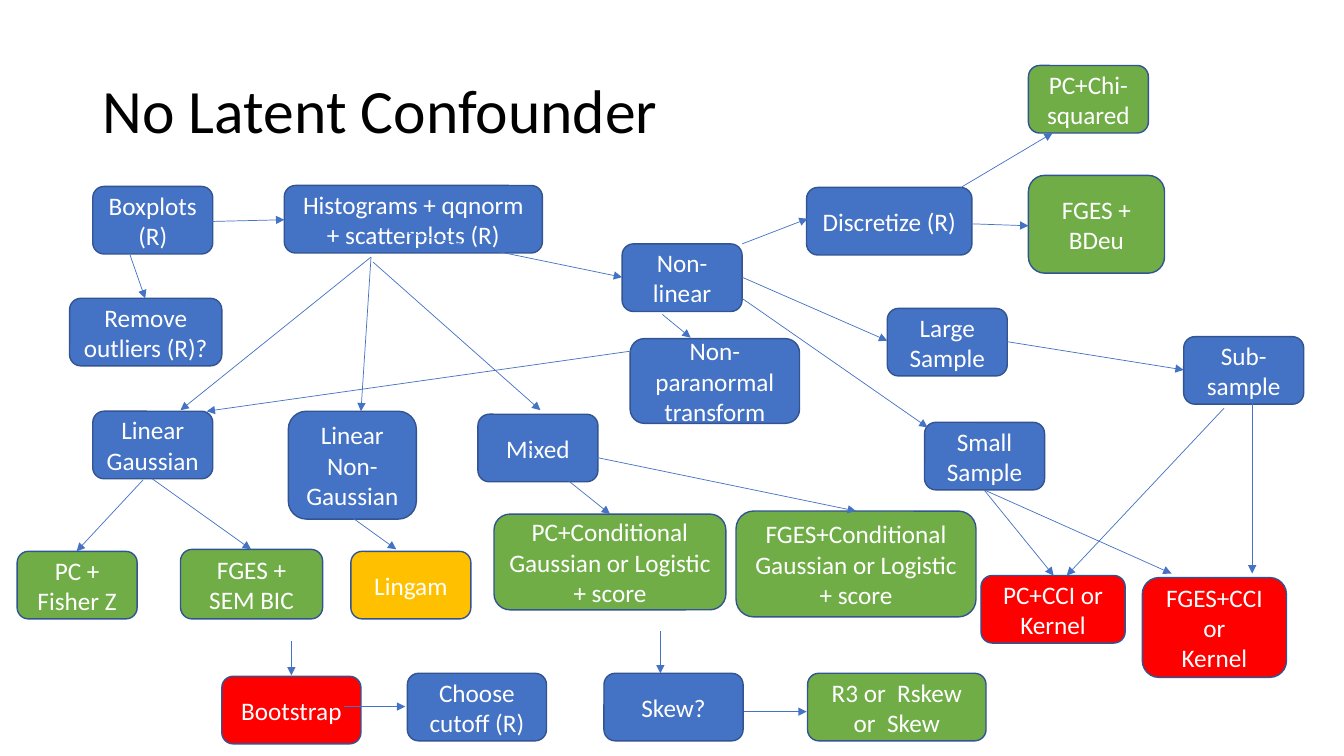
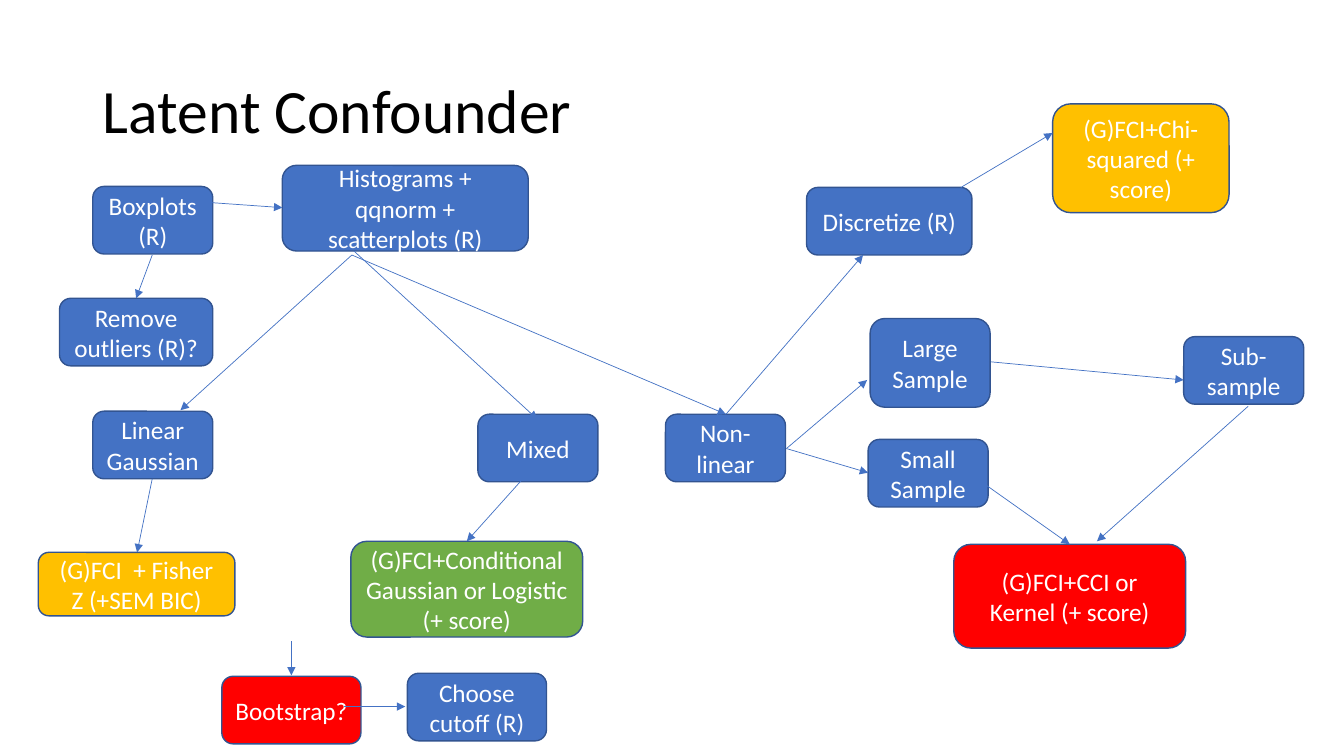
from lxml import etree
from pptx import Presentation
from pptx.dml.color import RGBColor
from pptx.enum.shapes import MSO_CONNECTOR, MSO_SHAPE
from pptx.enum.text import MSO_ANCHOR, PP_ALIGN
from pptx.oxml.ns import qn
from pptx.util import Inches, Pt

BLUE = RGBColor(0x44, 0x72, 0xC4)
OUTLINE = RGBColor(0x32, 0x54, 0x91)
GREEN = RGBColor(0x70, 0xAD, 0x47)
AMBER = RGBColor(0xFF, 0xC0, 0x00)
RED = RGBColor(0xFF, 0x00, 0x00)
WHITE = RGBColor(0xFF, 0xFF, 0xFF)
BLACK = RGBColor(0x00, 0x00, 0x00)

BOX_WIDTH, BOX_HEIGHT = 1.19, 0.67
TITLE_FRAME = {"left": 0.92, "top": 0.4, "width": 11.5, "height": 1.45}
TITLE_FONT = {"name": "Calibri", "size": Pt(44), "bold": False}
BOX_FONT = {"name": "Calibri", "size": Pt(18)}
TITLE_PARAGRAPH = {"alignment": PP_ALIGN.LEFT, "line_spacing": 0.9}
BOX_PARAGRAPH = {"alignment": PP_ALIGN.CENTER}


def format_text(text_frame, paragraph_format, font_format, color):
    """Centre the text vertically and format every paragraph."""
    text_frame.vertical_anchor = MSO_ANCHOR.MIDDLE
    for paragraph in text_frame.paragraphs:
        for name, value in paragraph_format.items():
            setattr(paragraph, name, value)
        for name, value in font_format.items():
            setattr(paragraph.font, name, value)
        paragraph.font.color.rgb = color


# Boxes: text, fill, left, top, then width and height where not standard
shared_boxes = [
    ("Boxplots (R)", BLUE, 0.92, 1.85),
    ("Linear Gaussian", BLUE, 0.92, 4.08),
    ("Mixed", BLUE, 4.74, 4.11),
    ("Discretize (R)", BLUE, 8, 1.86, 1.64),
    ("Sub-sample", BLUE, 11.74, 3.34),
    ("Choose cutoff (R)", BLUE, 4.04, 6.68, 1.38),
]
# Arrows: start x, start y, end x, end y
shared_arrows = [
    (9.53, 1.86, 10.44, 1.32),  # discretize to chi-squared
    (2.89, 6.36, 2.89, 6.7),    # down to bootstrap
    (3.41, 7.01, 4.02, 7.01),   # bootstrap to cutoff
]

no_latent_boxes = [
    ("Remove outliers (R)?", BLUE, 0.69, 2.96, 1.51),
    ("Histograms + qqnorm + scatterplots (R)", BLUE, 2.82, 1.84, 2.56),
    ("PC + Fisher Z", GREEN, 0.17, 5.47),
    ("FGES + SEM BIC", GREEN, 1.79, 5.45, 1.41, 0.69),
    ("Bootstrap", RED, 2.2, 6.71, 1.38),
    ("Linear Non-Gaussian", BLUE, 2.86, 4.08, 1.27, 1.07),
    ("Non-linear", BLUE, 6.17, 2.42),
    ("Lingam", AMBER, 3.48, 5.47),
    ("PC+Chi-squared", GREEN, 10.2, 0.65),
    ("FGES + BDeu", GREEN, 10.2, 1.74, 1.35, 0.97),
    ("Large Sample", BLUE, 8.8, 3.06),
    ("Small Sample", BLUE, 9.17, 4.19),
    ("PC+CCI or\nKernel", RED, 9.73, 5.71, 1.43),
    ("FGES+CCI or\nKernel", RED, 11.33, 5.73, 1.43, 0.99),
    ("PC+Conditional Gaussian or Logistic + score", GREEN, 4.9, 5.1, 2.3, 0.95),
    ("FGES+Conditional Gaussian or Logistic + score", GREEN, 7.3, 5.07, 2.38, 1.05),
    ("Skew?", BLUE, 5.99, 6.68, 1.38),
    ("R3 or  Rskew or  Skew", GREEN, 8.01, 6.68, 1.77),
    ("Non-paranormal transform", BLUE, 6.25, 3.36, 1.68, 0.84),
]
no_latent_arrows = [
    # From boxplots and histograms
    (1.29, 2.53, 1.44, 2.96), (1.97, 2.2, 2.82, 2.18),
    (3.68, 2.55, 1.79, 4.07), (3.68, 2.55, 3.58, 4.08),
    (3.7, 2.6, 5.36, 4.07), (3.65, 2.23, 6.17, 2.75),
    # From the linear and mixed cases
    (1.42, 4.76, 0.76, 5.47), (1.51, 4.75, 2.49, 5.45),
    (3.5, 5.14, 3.93, 5.45),
    (5.24, 4.45, 6.05, 5.1), (5.78, 4.51, 8.49, 5.07),
    # From the non-linear case
    (7.36, 2.42, 8.01, 2.17), (7.36, 2.75, 8.8, 3.38),
    (7.36, 2.96, 9.2, 4.24), (6.57, 3.12, 6.85, 3.35),
    (6.28, 3.48, 2.05, 4.08), (9.61, 2.22, 10.2, 2.24),
    # From the samples
    (9.99, 3.39, 11.74, 3.67),
    (12.14, 4.05, 10.58, 5.71), (12.42, 3.99, 12.42, 5.69),
    (9.76, 4.86, 10.45, 5.71), (9.76, 4.86, 11.62, 5.69),
    # Around skew
    (6.55, 6.26, 6.55, 6.68), (7.38, 7.06, 8, 7.06),
]

latent_boxes = [
    ("Remove outliers (R)?", BLUE, 0.59, 2.96, 1.52),
    ("Histograms + qqnorm + scatterplots (R)", BLUE, 2.8, 1.64, 2.44, 0.85),
    ("(G)FCI  + Fisher Z (+SEM BIC)", AMBER, 0.38, 5.48, 1.95, 0.63),
    ("Bootstrap?", RED, 2.2, 6.71, 1.38),
    ("Non-linear", BLUE, 6.6, 4.11),
    ("(G)FCI+Chi-squared (+ score)", AMBER, 10.44, 1.03, 1.75, 1.08),
    ("Large Sample", BLUE, 8.63, 3.16, 1.19, 0.88),
    ("Small Sample", BLUE, 8.61, 4.36),
    ("(G)FCI+CCI or\nKernel (+ score)", RED, 9.46, 5.4, 2.3, 1.03),
    ("(G)FCI+Conditional Gaussian or Logistic (+ score)", GREEN, 3.48, 5.37, 2.3, 0.95),
]
latent_arrows = [
    # From boxplots and histograms
    (1.51, 2.53, 1.35, 2.96), (1.95, 2, 2.8, 2.06),
    (3.49, 2.53, 1.79, 4.07), (3.51, 2.49, 5.33, 4.16),
    (3.49, 2.53, 7.2, 4.11),
    # From the linear, mixed and non-linear cases
    (1.51, 4.75, 1.36, 5.48), (5.24, 4.69, 4.63, 5.37),
    (7.2, 4.11, 8.56, 2.53), (7.8, 4.45, 8.6, 3.77),
    (7.8, 4.45, 8.61, 4.69),
    # From the samples
    (9.83, 3.59, 11.74, 3.77), (12.38, 4.03, 10.88, 5.37),
    (9.72, 4.77, 10.61, 5.4),
]

flowcharts = [
    ("No Latent Confounder", no_latent_boxes, no_latent_arrows),
    ("Latent Confounder", latent_boxes, latent_arrows),
]

presentation = Presentation()
presentation.slide_width = Inches(13.33)
presentation.slide_height = Inches(7.5)
title_layout = presentation.slide_layouts.get_by_name("Title Only")

for title_text, boxes, arrows in flowcharts:
    slide = presentation.slides.add_slide(title_layout)
    title = slide.shapes.title
    for name, value in TITLE_FRAME.items():
        setattr(title, name, Inches(value))
    title.text_frame.text = title_text
    format_text(title.text_frame, TITLE_PARAGRAPH, TITLE_FONT, BLACK)

    for text, fill, left, top, *size in shared_boxes + boxes:
        width = size[0] if size else BOX_WIDTH
        height = size[1] if len(size) == 2 else BOX_HEIGHT
        box = slide.shapes.add_shape(
            MSO_SHAPE.FLOWCHART_ALTERNATE_PROCESS,
            Inches(left), Inches(top), Inches(width), Inches(height))
        box.shadow.inherit = False
        box.fill.solid()
        box.fill.fore_color.rgb = fill
        box.line.color.rgb = OUTLINE
        box.line.width = Pt(1)
        box.text_frame.text = text
        box.text_frame.word_wrap = True
        format_text(box.text_frame, BOX_PARAGRAPH, BOX_FONT, WHITE)

    for ends in shared_arrows + arrows:
        arrow = slide.shapes.add_connector(
            MSO_CONNECTOR.STRAIGHT, *[Inches(end) for end in ends])
        arrow.line.color.rgb = BLUE
        arrow.line.width = Pt(0.5)
        properties = arrow.element.spPr
        etree.SubElement(properties.find(qn("a:ln")), qn("a:tailEnd"), type="triangle")
        etree.SubElement(properties, qn("a:effectLst"))

presentation.save("out.pptx")
